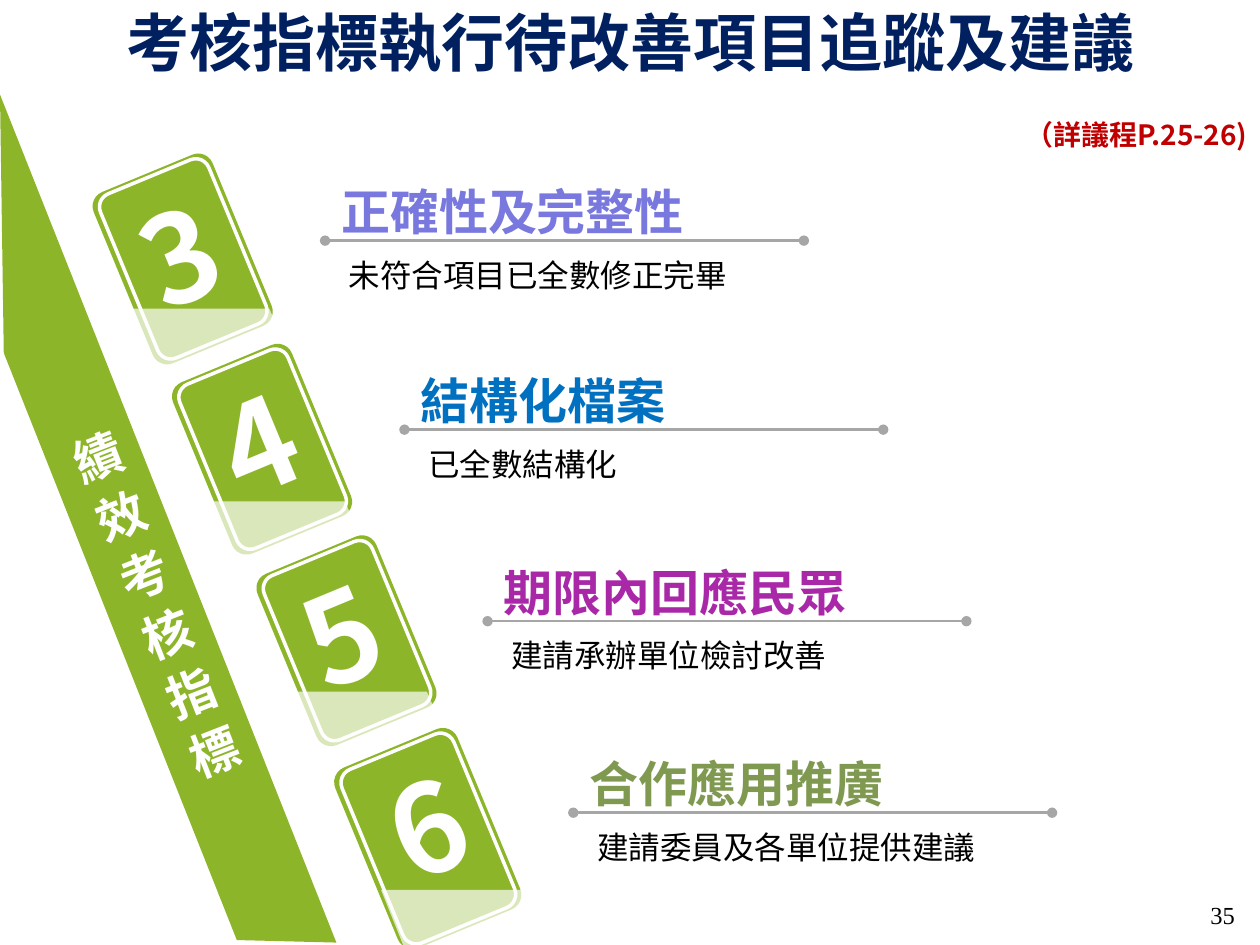
import math
from dataclasses import dataclass

from lxml import etree
from pptx import Presentation
from pptx import util as u
from pptx.dml import color
from pptx.enum import shapes, text
from pptx.oxml import ns

Inches = u.Inches


@dataclass(frozen=True)
class Theme:
    green: str = "8DB529"
    white: str = "FFFFFF"
    black: str = "000000"
    navy: str = "002060"
    red: str = "C00000"
    rule: str = "A6A6A6"
    sans: str = "Noto Sans CJK SC"
    label: str = "Noto Sans CJK KR"
    serif: str = "Times New Roman"
    title_size: int = 36
    digit_size: int = 70
    heading_size: int = 28
    body_size: int = 18
    note_size: int = 16
    number_size: int = 14


T = Theme()
TILT = 337.5
MIDDLE = text.MSO_ANCHOR.MIDDLE
TOP = text.MSO_ANCHOR.TOP
ALIGN = text.PP_ALIGN


def rgb(value):
    return color.RGBColor.from_string(value)


def place(sp, box):
    sp.left, sp.top, sp.width, sp.height = (Inches(v) for v in box)


def write(sp, content, size, fill, font=T.sans, bold=False, align=ALIGN.LEFT,
          anchor=MIDDLE, top=0.05, spacing=1.0):
    tf = sp.text_frame
    tf.word_wrap = True
    tf.auto_size = text.MSO_AUTO_SIZE.NONE
    tf.vertical_anchor = anchor
    tf.margin_top = Inches(top)
    p = tf.paragraphs[0]
    p.alignment = align
    p.line_spacing = spacing
    r = p.add_run()
    r.text = content
    r.font.size = u.Pt(size)
    r.font.bold = bold
    r.font.name = font
    r.font.color.rgb = rgb(fill)
    ea = etree.SubElement(r._r.get_or_add_rPr(), ns.qn("a:ea"))
    ea.set("typeface", font)


def add_text(s, box, content, size, fill, rotation=0, **fmt):
    sp = s.shapes.add_textbox(*(Inches(v) for v in box))
    sp.rotation = rotation
    write(sp, content, size, fill, **fmt)
    return sp


def paint(sp, fill=None, line=None, alpha=None):
    sp.shadow.inherit = False
    if fill:
        sp.fill.solid()
        sp.fill.fore_color.rgb = rgb(fill)
    else:
        sp.fill.background()
    if line:
        sp.line.color.rgb = rgb(line)
        sp.line.width = u.Pt(2)
    else:
        sp.line.fill.background()
    if alpha:
        clr = sp.fill._xPr.find(".//" + ns.qn("a:srgbClr"))
        etree.SubElement(clr, ns.qn("a:alpha")).set("val", str(alpha * 1000))


def add_rounded(s, box, **style):
    sp = s.shapes.add_shape(shapes.MSO_SHAPE.ROUNDED_RECTANGLE,
                            *(Inches(v) for v in box))
    sp.adjustments[0] = 0.12
    sp.rotation = TILT
    paint(sp, **style)


def add_tilted_outline(s, points, center, rotation, **style):
    a = math.radians(-rotation)
    cx, cy = center
    local = [(Inches(cx + x * math.cos(a) - y * math.sin(a)),
              Inches(cy + x * math.sin(a) + y * math.cos(a))) for x, y in points]
    fb = s.shapes.build_freeform(*local[0], scale=1.0)
    fb.add_line_segments(local[1:], close=True)
    sp = fb.convert_to_shape()
    sp.rotation = rotation
    paint(sp, **style)


def curve(*controls, steps=8):
    return [tuple(sum(math.comb(3, k) * (1 - t) ** (3 - k) * t ** k * c[axis]
                      for k, c in enumerate(controls)) for axis in (0, 1))
            for t in (i / steps for i in range(steps + 1))]


GLOSS = [(-0.6, -0.13), (0.49, -0.13),
         *curve((0.56, 0.03), (0.59, 0.09), (0.56, 0.16), (0.49, 0.19)),
         *curve((-0.22, 0.48), (-0.28, 0.51), (-0.35, 0.48), (-0.38, 0.42))]


def add_rule(s, x, y, width):
    cn = s.shapes.add_connector(shapes.MSO_CONNECTOR.STRAIGHT, Inches(x), Inches(y),
                                Inches(x + width), Inches(y))
    cn.line.color.rgb = rgb(T.rule)
    cn.line.width = u.Pt(1.5)
    ln = cn.line._get_or_add_ln()
    for end in ("a:headEnd", "a:tailEnd"):
        etree.SubElement(ln, ns.qn(end)).set("type", "oval")
    etree.SubElement(cn._element.spPr, ns.qn("a:effectLst"))


def add_card(s, box, gloss_center, scale):
    x, y, w, h = box
    add_rounded(s, box, fill=T.green)
    add_rounded(s, (x + 0.05, y + 0.03, w - 0.09, h - 0.06), line=T.white)
    return [(px * scale, py * scale) for px, py in GLOSS], gloss_center


def add_indicator(s, card, gloss_center, origin, number, heading, body, accent):
    x, y = origin
    points, center = add_card(s, card, gloss_center, card[3] / 1.47)
    add_text(s, (x - 1.58, y - 0.73, 0.88, 1.46), number, T.digit_size, T.white,
             rotation=TILT, font=T.label, bold=True, anchor=TOP, top=0.23)
    add_tilted_outline(s, points, center, TILT, fill=T.white, alpha=68)
    add_text(s, (x + 0.09, y + 0.08, 4.02, 0.38), body, T.body_size, T.black)
    add_text(s, (x + 0.03, y - 0.52, 3.35, 0.57), heading, T.heading_size, accent,
             bold=True)
    add_rule(s, x, y, 3.8)


def add_strip(s, box):
    x, y, w, h = box
    center = (x + w / 2, y + h / 2)
    corners = [(0, 0.75), (2.67, 7.48), (1.88, 7.46), (0.03, 2.8)]
    points = [(px - center[0], py - center[1]) for px, py in corners]
    add_tilted_outline(s, points, center, 338.4, fill=T.green)
    sp = add_text(s, (-0.71, 4.43, 3.88, 0.69), "績效考核指標", T.heading_size,
                  T.white, rotation=68.5, font=T.label, bold=True,
                  align=ALIGN.CENTER, spacing=1.08)
    sp.text_frame._txBody.bodyPr.set("vert", "vert270")


def add_header(s, box):
    sp = s.shapes.title
    place(sp, box)
    write(sp, "考核指標執行待改善項目追蹤及建議", T.title_size, T.navy, bold=True,
          align=ALIGN.CENTER, anchor=TOP, top=0)
    add_text(s, (7.94, 0.88, 2.06, 0.37), "（詳議程P.25-26)", T.note_size, T.red,
             bold=True, align=ALIGN.RIGHT)


def add_page_number(s, box):
    add_text(s, box, "35", T.number_size, T.black, font=T.serif,
             align=ALIGN.RIGHT, anchor=TOP)


INDICATORS = [
    ((0.94, 1.32, 1.02, 1.47), (1.65, 2.58), (2.58, 1.91),
     "3", "正確性及完整性", "未符合項目已全數修正完畢", "7878DE"),
    ((1.57, 2.83, 1.02, 1.47), (2.25, 4.11), (3.21, 3.41),
     "4", "結構化檔案", "已全數結構化", "0070C0"),
    ((2.24, 4.35, 1.02, 1.47), (2.9, 5.62), (3.87, 4.93),
     "5", "期限內回應民眾", "建請承辦單位檢討改善", "A828A8"),
    ((2.87, 5.88, 1.05, 1.55), (3.66, 7.2), (4.55, 6.45),
     "6", "合作應用推廣", "建請委員及各單位提供建議", "7F9951"),
]


def main():
    prs = Presentation()
    prs.slide_width, prs.slide_height = Inches(10), Inches(7.5)
    s = prs.slides.add_slide(prs.slide_layouts[5])
    for indicator in INDICATORS:
        add_indicator(s, *indicator)
    add_strip(s, (0.63, 0.63, 0.73, 7.24))
    add_header(s, (0.01, 0.03, 9.99, 0.89))
    add_page_number(s, (9.13, 7.09, 0.77, 0.24))
    prs.save("out.pptx")


if __name__ == "__main__":
    main()
